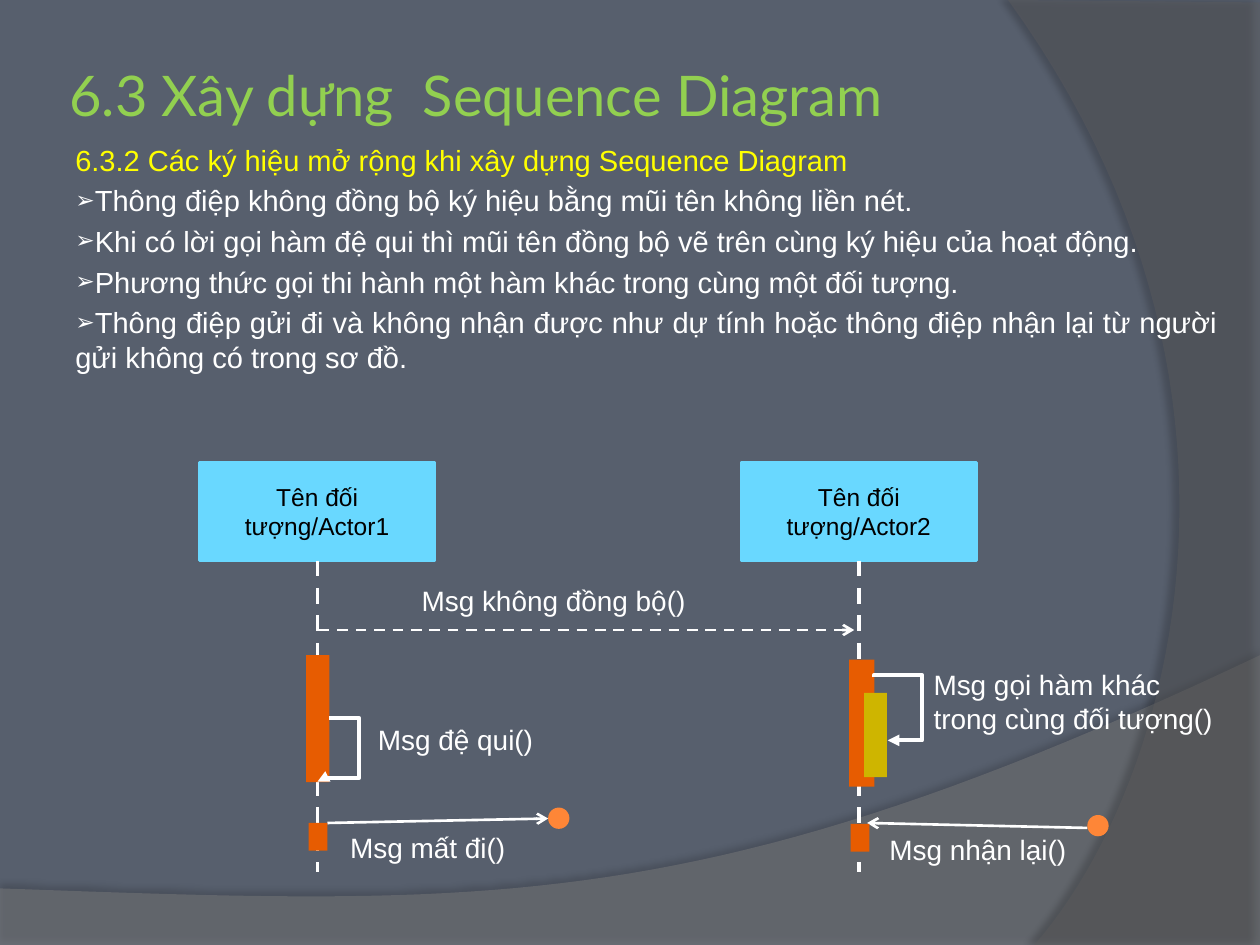
from dataclasses import dataclass

from lxml import etree
from pptx import Presentation
from pptx.dml.color import RGBColor
from pptx.enum.dml import MSO_LINE
from pptx.enum.shapes import MSO_CONNECTOR, MSO_SHAPE
from pptx.enum.text import MSO_ANCHOR, PP_ALIGN
from pptx.oxml.ns import qn
from pptx.util import Cm, Pt

RECT, OVAL = MSO_SHAPE.RECTANGLE, MSO_SHAPE.OVAL
STRAIGHT, ELBOW = MSO_CONNECTOR.STRAIGHT, MSO_CONNECTOR.ELBOW
LEFT, CENTER, JUSTIFY = PP_ALIGN.LEFT, PP_ALIGN.CENTER, PP_ALIGN.JUSTIFY
TOP, MIDDLE = MSO_ANCHOR.TOP, MSO_ANCHOR.MIDDLE
DASH = MSO_LINE.DASH


@dataclass(frozen=True)
class Theme:
    """Colours, fonts and type sizes of the slide."""
    background: str = "575F6D"
    floor_wave: str = "7F7F7F"
    side_wave: str = "5E5E5E"
    shadow: str = "000000"
    title: str = "92D050"
    heading: str = "FFFF00"
    text: str = "FFFFFF"
    actor: str = "69D8FF"
    actor_text: str = "000000"
    activation: str = "E75C01"
    nested: str = "CEB500"
    endpoint: str = "FE8637"
    title_font: str = "Lato"
    body_font: str = "Arial"
    title_size: float = 32
    body_size: float = 16.6
    message_size: float = 16
    actor_size: float = 14
    thin: float = 1.5
    thick: float = 2.25


def rgb(code):
    """Turn a hex code into a colour."""
    return RGBColor.from_string(code)


def assign(target, **values):
    """Set every given attribute on the target."""
    for name, value in values.items():
        setattr(target, name, value)


def add_xml(parent, tag, **attributes):
    """Append a child element with string attributes."""
    return etree.SubElement(parent, qn(tag), {k: str(v) for k, v in attributes.items()})


def bezier(start, c1, c2, end, steps=48):
    """Return the points that follow start on a cubic curve."""
    def at(t):
        weights = ((1 - t) ** 3, 3 * t * (1 - t) ** 2, 3 * t * t * (1 - t), t ** 3)
        return tuple(sum(w * p[axis] for w, p in zip(weights, (start, c1, c2, end)))
                     for axis in (0, 1))
    return [at(i / steps) for i in range(1, steps + 1)]


class Board:
    """Draws styled elements on one slide; lengths are centimetres."""

    def __init__(self, slide, theme):
        """Keep the slide and theme, and paint the background."""
        self.slide, self.theme = slide, theme
        fill = slide.background.fill
        fill.solid()
        fill.fore_color.rgb = rgb(theme.background)

    def fill_text(self, frame, lines, size, color, font=None, align=LEFT, anchor=TOP):
        """Put lines of text in a frame, one paragraph each."""
        assign(frame, word_wrap=True, vertical_anchor=anchor)
        for i, line in enumerate(lines):
            paragraph = frame.paragraphs[0] if i == 0 else frame.add_paragraph()
            paragraph.alignment = align
            run = paragraph.add_run()
            run.text = line
            assign(run.font, name=font or self.theme.body_font, size=Pt(size))
            run.font.color.rgb = rgb(color)

    def title(self, text, box):
        """Format and place the title placeholder."""
        title = self.slide.shapes.title
        assign(title, **dict(zip(("left", "top", "width", "height"), map(Cm, box))))
        inset = Cm(0.13)
        assign(title.text_frame, margin_left=inset, margin_right=inset,
               margin_top=inset, margin_bottom=inset)
        self.fill_text(title.text_frame, [text], self.theme.title_size,
                       self.theme.title, self.theme.title_font, anchor=MIDDLE)

    def text(self, lines, box, size, color, align=LEFT):
        """Add a text box."""
        frame = self.slide.shapes.add_textbox(*map(Cm, box)).text_frame
        self.fill_text(frame, lines, size, color, align=align)
        return frame

    def message(self, label, box):
        """Add the label of a message."""
        self.text([label], box, self.theme.message_size, self.theme.text)

    def bullets(self, heading, items, box):
        """Add a heading line followed by arrow bullets."""
        frame = self.text([heading, *items], box, self.theme.body_size,
                          self.theme.text, JUSTIFY)
        frame.paragraphs[0].runs[0].font.color.rgb = rgb(self.theme.heading)
        for paragraph in frame.paragraphs:
            paragraph.space_before = Pt(3.3)
        for paragraph in frame.paragraphs[1:]:
            props = paragraph._p.get_or_add_pPr()
            add_xml(add_xml(props, "a:buClr"), "a:srgbClr", val=self.theme.text)
            add_xml(props, "a:buSzPct", val=80000)
            add_xml(props, "a:buFont", typeface=self.theme.body_font)
            add_xml(props, "a:buChar", char="➢")

    def shape(self, kind, box, color, label=None):
        """Add a flat preset shape, outlined only when it has a label."""
        shape = self.slide.shapes.add_shape(kind, *map(Cm, box))
        shape.shadow.inherit = False
        shape.fill.solid()
        shape.fill.fore_color.rgb = rgb(color)
        if label is None:
            shape.line.fill.background()
            return
        shape.line.color.rgb = rgb(color)
        shape.line.width = Pt(self.theme.thin)
        self.fill_text(shape.text_frame, [label], self.theme.actor_size,
                       self.theme.actor_text, align=CENTER, anchor=MIDDLE)

    def line(self, start, end, width, dash=None, head=None, kind=STRAIGHT):
        """Add a connector with an optional dash and arrowhead."""
        link = self.slide.shapes.add_connector(kind, *map(Cm, (*start, *end)))
        link.line.color.rgb = rgb(self.theme.text)
        assign(link.line, width=Pt(width), dash_style=dash)
        props = link._element.spPr
        if head:
            add_xml(props.find(qn("a:ln")), "a:tailEnd", type=head)
        add_xml(props, "a:effectLst")
        return link

    def loop(self, start, end, bends, rotation=0):
        """Add a four-part elbow arrow that returns to its own lifeline."""
        link = self.line(start, end, self.theme.thick, head="triangle", kind=ELBOW)
        link.rotation = rotation
        props = link._element.spPr
        props.find(qn("a:xfrm")).set("rot", str(rotation * 60000))
        geometry = props.find(qn("a:prstGeom"))
        geometry.set("prst", "bentConnector4")
        guides = geometry.find(qn("a:avLst"))
        for i, bend in enumerate(bends, 1):
            add_xml(guides, "a:gd", name=f"adj{i}", fmla=f"val {round(bend * 100000)}")

    def wave(self, points, color, opacity, shade, distance, direction):
        """Add a translucent backdrop with a soft shadow behind everything."""
        start, *rest = [tuple(map(Cm, point)) for point in points]
        builder = self.slide.shapes.build_freeform(*start)
        builder.add_line_segments(rest, close=True)
        wave = builder.convert_to_shape()
        wave.fill.solid()
        wave.fill.fore_color.rgb = rgb(color)
        wave.line.fill.background()
        props = wave._element.spPr
        add_xml(next(props.iter(qn("a:srgbClr"))), "a:alpha", val=opacity * 1000)
        shadow = add_xml(add_xml(props, "a:effectLst"), "a:outerShdw", blurRad=Pt(4),
                         dist=Pt(distance), dir=direction * 60000, rotWithShape=0)
        tint = add_xml(shadow, "a:srgbClr", val=self.theme.shadow)
        add_xml(tint, "a:alpha", val=shade * 1000)
        self.slide.shapes._spTree.insert(2, wave._element)


def main():
    """Build and save the slide."""
    deck = Presentation()
    assign(deck, slide_width=Cm(25.4), slide_height=Cm(19.05))
    theme = Theme()
    board = Board(deck.slides.add_slide(deck.slide_layouts[5]), theme)

    side = [(25.4, 0.05), (25.4, 19.05), (20.85, 19.05)]
    side += bezier(side[-1], (23.75, 15.72), (25.86, 7.62), (20.32, 0))
    board.wave(side, theme.side_wave, 40, 45, 4, 180)
    floor = [(0, 17.91), (0, 19.08), (25.4, 19.08), (25.4, 13.21)]
    floor += bezier(floor[-1], (14.2, 18.52), (9.93, 18.26), floor[0])
    board.wave(floor, theme.floor_wave, 45, 35, 3.5, 270)

    board.title("6.3 Xây dựng  Sequence Diagram", (1.27, 0.84, 23.06, 2.11))
    board.bullets(
        "6.3.2 Các ký hiệu mở rộng khi xây dựng Sequence Diagram",
        ["Thông điệp không đồng bộ ký hiệu bằng mũi tên không liền nét.",
         "Khi có lời gọi hàm đệ qui thì mũi tên đồng bộ vẽ trên cùng ký hiệu của hoạt động.",
         "Phương thức gọi thi hành một hàm khác trong cùng một đối tượng.",
         "Thông điệp gửi đi và không nhận được như dự tính hoặc thông điệp nhận lại "
         "từ người gửi không có trong sơ đồ."],
        (1.27, 2.74, 23.5, 5.51))

    for number, lifeline in enumerate((6.4, 17.32), 1):
        board.shape(RECT, (lifeline - 2.38, 9.32, 4.75, 1.98), theme.actor,
                    f"Tên đối tượng/Actor{number}")
        board.line((lifeline, 11.3), (lifeline, 17.58), theme.thick, DASH)

    board.message("Msg không đồng bộ()", (8.25, 11.63, 6.93, 0.94))
    board.line((6.43, 12.7), (17.22, 12.7), theme.thin, DASH, "arrow")

    board.shape(RECT, (6.17, 13.21, 0.47, 2.56), theme.activation)
    board.loop((6.63, 14.48), (6.4, 15.76), (-2.676, 0.939))
    board.message("Msg đệ qui()", (7.37, 14.45, 4.65, 0.94))

    board.shape(RECT, (17.12, 13.3, 0.51, 2.56), theme.activation)
    board.shape(RECT, (17.42, 13.97, 0.46, 1.7), theme.nested)
    board.loop((18.39, 14.15), (17.12, 14.43), (-0.036, 3.49), 270)
    board.message("Msg gọi hàm khác trong cùng đối tượng()", (18.57, 13.34, 6.22, 2.31))

    for label, label_at, start, end, activation, endpoint in (
            ("Msg mất đi()", (6.81, 16.61), (6.6, 16.59), (11.05, 16.5),
             (6.22, 16.59), (11.05, 16.28)),
            ("Msg nhận lại()", (17.68, 16.66), (21.92, 16.69), (17.48, 16.59),
             (17.15, 16.61), (21.92, 16.43))):
        board.line(start, end, theme.thin, head="arrow")
        board.shape(RECT, (*activation, 0.38, 0.56), theme.activation)
        board.shape(OVAL, (*endpoint, 0.43, 0.43), theme.endpoint)
        board.message(label, (*label_at, 4.65, 0.94))

    deck.save("out.pptx")


main()
